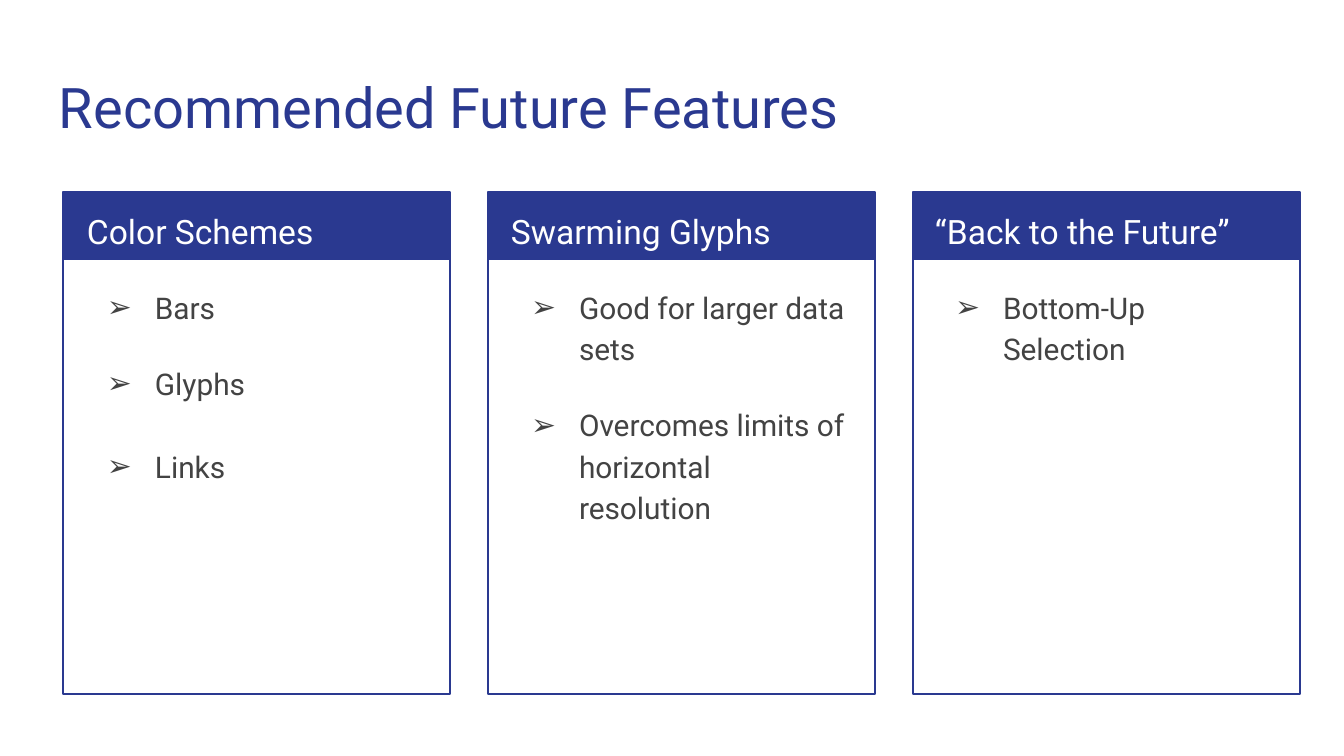
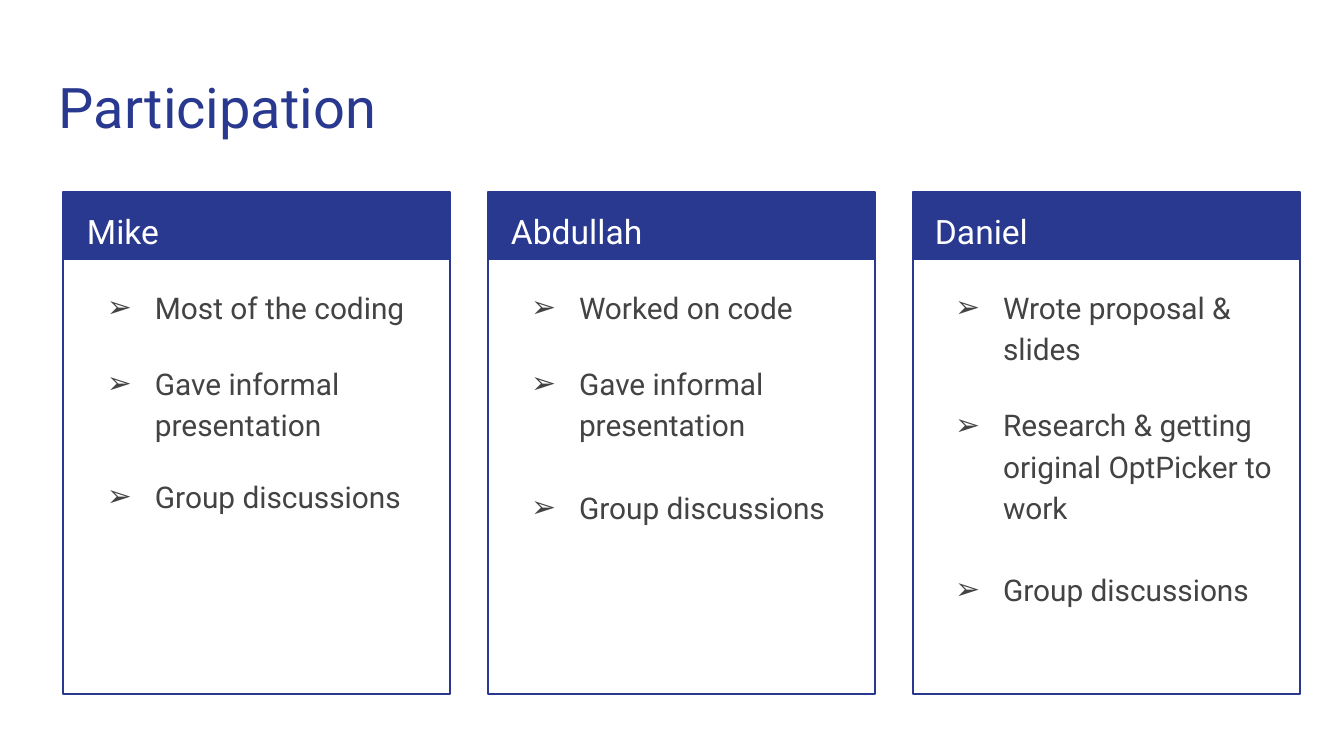
from lxml import etree
from pptx import Presentation
from pptx import util as u
from pptx.dml.color import RGBColor
from pptx.enum import shapes, text
from pptx.oxml import ns

NAVY = RGBColor(0x2A, 0x39, 0x90)
WHITE = RGBColor(0xFF, 0xFF, 0xFF)
GRAY = RGBColor(0x43, 0x43, 0x43)
FONT = "Roboto"
BULLET = "➢"
EMU_PER_PX = 914400 / 134.4

ITEM_GAPS = (0, 19, 22)
TIGHT_GAPS = (0, 19, 16)

SLIDES = [
    ("Recommended Future Features", [
        ("Color Schemes", ["Bars", "Glyphs", "Links"], ITEM_GAPS),
        ("Swarming Glyphs", ["Good for larger data sets",
                             "Overcomes limits of horizontal resolution"], ITEM_GAPS),
        ("“Back to the Future”", ["Bottom-Up Selection"], ITEM_GAPS),
    ]),
    ("Participation", [
        ("Mike", ["Most of the coding", "Gave informal presentation",
                  "Group discussions"], TIGHT_GAPS),
        ("Abdullah", ["Worked on code", "Gave informal presentation",
                      "Group discussions"], ITEM_GAPS),
        ("Daniel", ["Wrote proposal & slides",
                    "Research & getting original OptPicker to work",
                    "Group discussions"], ITEM_GAPS),
    ]),
]

TITLE_BOX = (46, 60, 1253, 89)
CARD_LEFT, CARD_TOP, CARD_WIDTH, CARD_HEIGHT = 63, 192, 387, 502
CARD_PITCH = 425
HEADER_HEIGHT = 68
HEADING_LEFT, HEADING_WIDTH = 74, 367
ITEMS_LEFT, ITEMS_TOP, ITEMS_WIDTH, ITEMS_HEIGHT = 75, 271, 364, 411
TEXT_PITCH = 424
INSET, INDENT, HANGING = 13, 67, 48


def px(length):
    return u.Emu(round(length * EMU_PER_PX))


def box(left, top, width, height):
    return [px(length) for length in (left, top, width, height)]


def write(frame, lines, size, color, line_spacing=1.0):
    frame.word_wrap = True
    frame.auto_size = text.MSO_AUTO_SIZE.NONE
    frame.vertical_anchor = text.MSO_ANCHOR.TOP
    frame.margin_left = frame.margin_right = px(INSET)
    frame.margin_top = frame.margin_bottom = px(INSET)
    frame.text = "\n".join(lines)
    for paragraph in frame.paragraphs:
        paragraph.alignment = text.PP_ALIGN.LEFT
        paragraph.line_spacing = line_spacing
        for run in paragraph.runs:
            run.font.name = FONT
            run.font.size = u.Pt(size)
            run.font.color.rgb = color


def add_bullet(paragraph, gap):
    paragraph.space_before = u.Pt(gap)
    properties = paragraph._p.get_or_add_pPr()
    properties.set("marL", str(px(INDENT)))
    properties.set("indent", str(-px(HANGING)))
    bullet_color = etree.SubElement(properties, ns.qn("a:buClr"))
    etree.SubElement(bullet_color, ns.qn("a:srgbClr"), val=str(GRAY))
    etree.SubElement(properties, ns.qn("a:buFont"), typeface=FONT)
    etree.SubElement(properties, ns.qn("a:buChar"), char=BULLET)


def add_card(slide, column, heading, items, gaps):
    left = CARD_LEFT + column * CARD_PITCH
    card = slide.shapes.add_group_shape()
    header, outline = [
        card.shapes.add_shape(shapes.MSO_SHAPE.RECTANGLE,
                              *box(left, CARD_TOP, CARD_WIDTH, height))
        for height in (HEADER_HEIGHT, CARD_HEIGHT)
    ]
    header.shadow.inherit = outline.shadow.inherit = False
    header.fill.solid()
    header.fill.fore_color.rgb = NAVY
    header.line.fill.background()
    outline.fill.background()
    outline.line.color.rgb = NAVY
    outline.line.width = u.Pt(0.75)

    shift = column * TEXT_PITCH
    heading_box = slide.shapes.add_textbox(
        *box(HEADING_LEFT + shift, CARD_TOP, HEADING_WIDTH, HEADER_HEIGHT))
    write(heading_box.text_frame, [heading], 18, WHITE, 1.15)

    items_box = slide.shapes.add_textbox(
        *box(ITEMS_LEFT + shift, ITEMS_TOP, ITEMS_WIDTH, ITEMS_HEIGHT))
    write(items_box.text_frame, items, 16, GRAY, 1.15)
    for paragraph, gap in zip(items_box.text_frame.paragraphs, gaps):
        add_bullet(paragraph, gap)


def main():
    deck = Presentation()
    deck.slide_width, deck.slide_height = px(1344), px(756)
    title_only = deck.slide_layouts[5]
    for heading, cards in SLIDES:
        slide = deck.slides.add_slide(title_only)
        title = slide.shapes.title
        title.left, title.top, title.width, title.height = box(*TITLE_BOX)
        write(title.text_frame, [heading], 30, NAVY)
        for column, card in enumerate(cards):
            add_card(slide, column, *card)
    deck.save("out.pptx")


if __name__ == "__main__":
    main()
